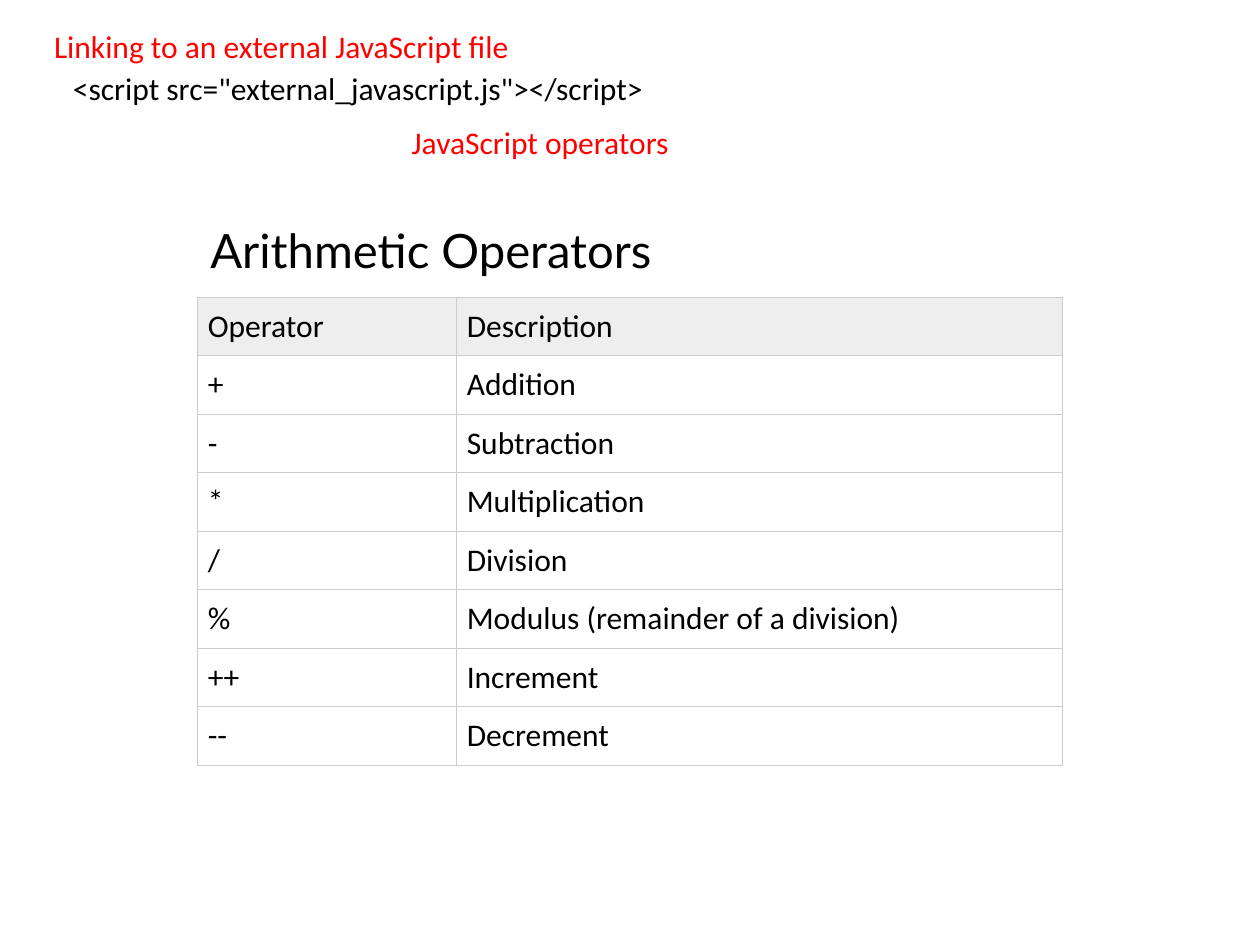
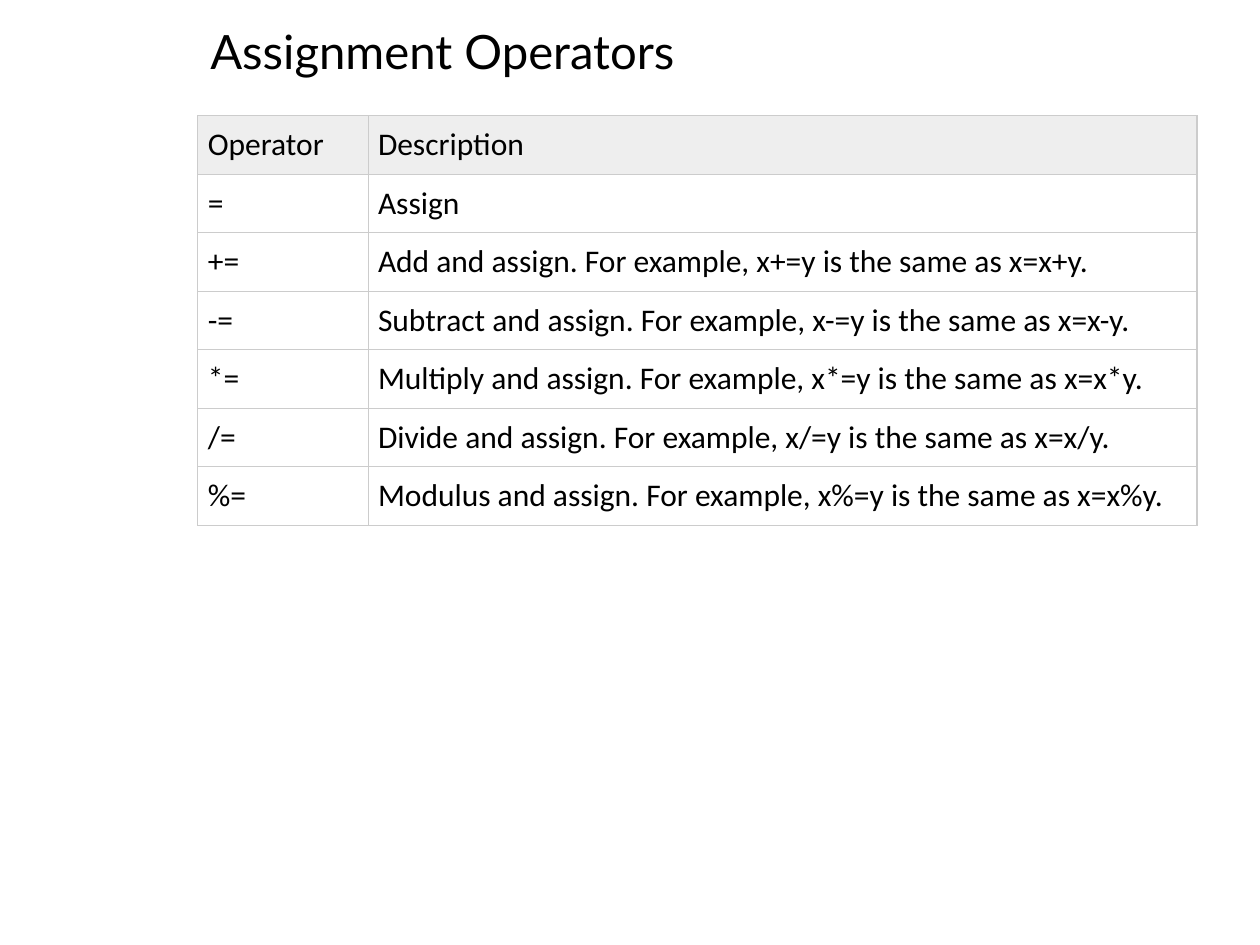
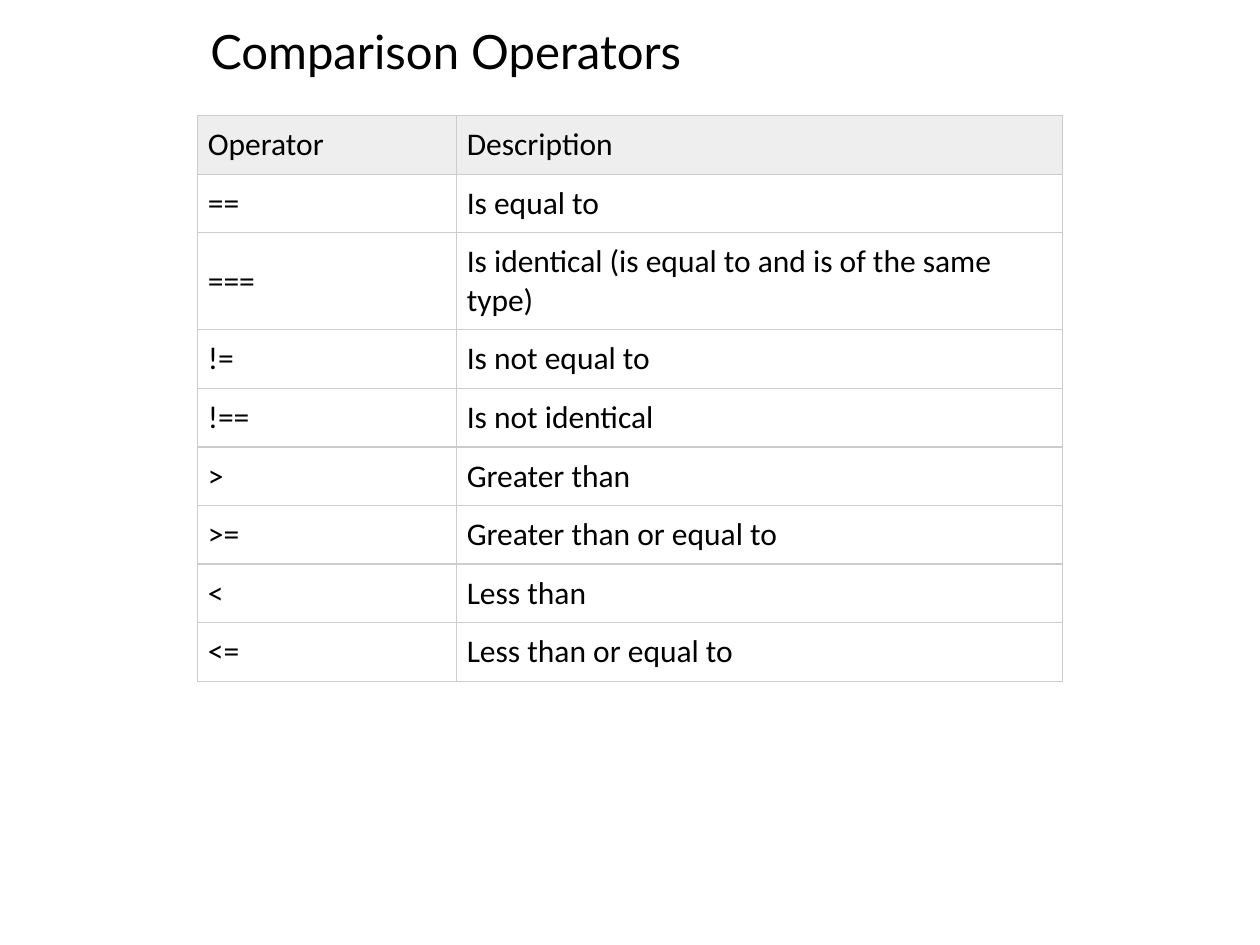
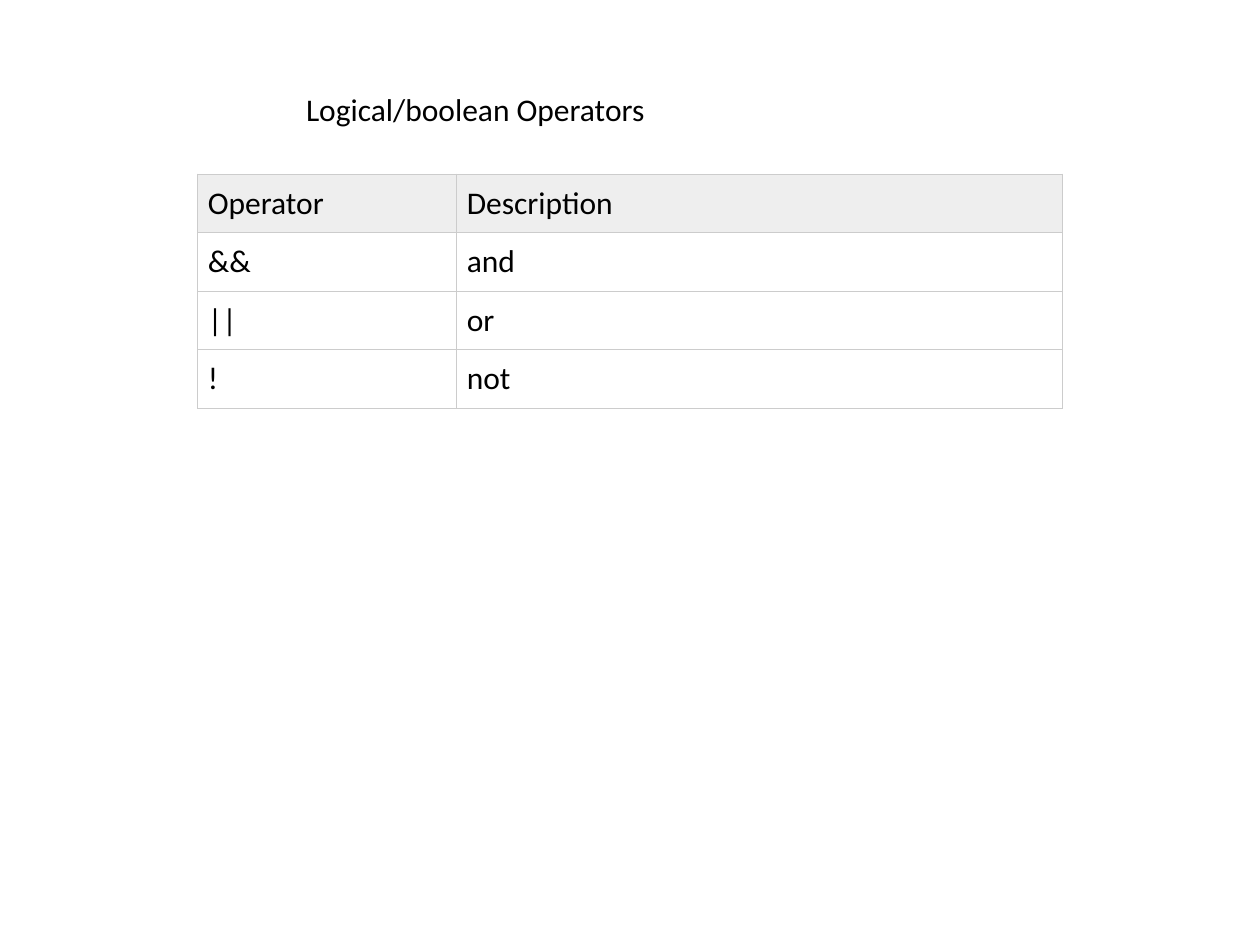
"""Build four slides on JavaScript operators."""
from lxml import etree
from pptx import Presentation
from pptx import util as u
from pptx.dml.color import RGBColor
from pptx.enum import text
from pptx.oxml import ns

BLACK, RED, GREY, HEADER, WHITE = "000000", "FF0000", "CCCCCC", "EEEEEE", "FFFFFF"
BODY = dict(font="Calibri", size=18, color=BLACK)
HEADING = dict(font="Lato", size=27, color=BLACK)
WIDTH, HEIGHT = 25.4, 19.05
TABLE_LEFT = 3.99
INSET = 0.2
LINE_HEIGHT = 0.78
CHARACTERS_PER_CM = 3.7
LABEL_HEIGHT, HEADING_HEIGHT = 1.02, 1.27
COLUMNS = ("Operator", "Description")
STANDARD, WIDE = (5.22, 12.21), (3.43, 16.71)

SLIDES = [
    dict(
        labels=[
            ('<script src="external_javascript.js"></script>', 1.22, 1.27, 12.12, BLACK),
            ("Linking to an external JavaScript file", 0.84, 0.43, 9.78, RED),
            ("JavaScript operators", 8.05, 2.36, 5.74, RED),
        ],
        heading=("Arithmetic Operators", 4.47),
        top=5.99,
        widths=STANDARD,
        rows=[
            ("+", "Addition"),
            ("-", "Subtraction"),
            ("*", "Multiplication"),
            ("/", "Division"),
            ("%", "Modulus (remainder of a division)"),
            ("++", "Increment"),
            ("--", "Decrement"),
        ],
    ),
    dict(
        heading=("Assignment Operators", 0.45),
        top=2.33,
        widths=WIDE,
        rows=[
            ("=", "Assign"),
            ("+=", "Add and assign. For example, x+=y is the same as x=x+y."),
            ("-=", "Subtract and assign. For example, x-=y is the same as x=x-y."),
            ("*=", "Multiply and assign. For example, x*=y is the same as x=x*y."),
            ("/=", "Divide and assign. For example, x/=y is the same as x=x/y."),
            ("%=", "Modulus and assign. For example, x%=y is the same as x=x%y."),
        ],
    ),
    dict(
        heading=("Comparison Operators", 0.45),
        top=2.33,
        widths=STANDARD,
        rows=[
            ("==", "Is equal to"),
            ("===", "Is identical (is equal to and is of the same type)"),
            ("!=", "Is not equal to"),
            ("!==", "Is not identical"),
            (">", "Greater than"),
            (">=", "Greater than or equal to"),
            ("<", "Less than"),
            ("<=", "Less than or equal to"),
        ],
    ),
    dict(
        labels=[("Logical/boolean Operators", 5.92, 1.7, 7.42, BLACK)],
        top=3.51,
        widths=STANDARD,
        rows=[("&&", "and"), ("||", "or"), ("!", "not")],
    ),
]


def rgb(value):
    """Turn a hex string into a colour."""
    return RGBColor.from_string(value)


def write(frame, words, font, size, color):
    """Put one formatted line of words into a text frame."""
    paragraph = frame.paragraphs[0]
    paragraph.alignment = text.PP_ALIGN.LEFT
    run = paragraph.add_run()
    run.text = words
    run.font.name = font
    run.font.size = u.Pt(size)
    run.font.color.rgb = rgb(color)


def add_label(slide, words, left, top, width, color):
    """Add a single-line text box."""
    box = slide.shapes.add_textbox(u.Cm(left), u.Cm(top), u.Cm(width), u.Cm(LABEL_HEIGHT))
    box.text_frame.word_wrap = False
    box.text_frame.auto_size = text.MSO_AUTO_SIZE.SHAPE_TO_FIT_TEXT
    write(box.text_frame, words, **{**BODY, "color": color})


def add_heading(slide, words, top):
    """Add the large heading above a table."""
    box = slide.shapes.add_textbox(u.Cm(TABLE_LEFT), u.Cm(top), u.Cm(WIDTH), u.Cm(HEADING_HEIGHT))
    frame = box.text_frame
    frame.word_wrap = True
    frame.margin_top = frame.margin_bottom = 0
    write(frame, words, **HEADING)


def add_borders(cell):
    """Draw a thin grey line on each side of a cell."""
    properties = cell._tc.get_or_add_tcPr()
    for position, side in enumerate(("lnL", "lnR", "lnT", "lnB")):
        line = etree.Element(ns.qn("a:" + side), w=str(u.Pt(0.75)))
        fill = etree.SubElement(line, ns.qn("a:solidFill"))
        etree.SubElement(fill, ns.qn("a:srgbClr"), val=GREY)
        properties.insert(position, line)


def row_height(description, width):
    """Give the height a row needs for its description."""
    lines = -(-len(description) // int(width * CHARACTERS_PER_CM))
    return lines * LINE_HEIGHT + 2 * INSET


def add_operators(slide, rows, top, widths):
    """Add a table of operators under a shaded header row."""
    rows = [COLUMNS, *rows]
    heights = [row_height(description, widths[1]) for _, description in rows]
    table = slide.shapes.add_table(
        len(rows), len(COLUMNS), u.Cm(TABLE_LEFT), u.Cm(top), u.Cm(sum(widths)), u.Cm(sum(heights))
    ).table
    table.horz_banding = False
    for column, width in zip(table.columns, widths):
        column.width = u.Cm(width)
    for index, (row, height) in enumerate(zip(table.rows, heights)):
        row.height = u.Cm(height)
        for cell, words in zip(row.cells, rows[index]):
            cell.margin_left = cell.margin_right = u.Cm(INSET)
            cell.margin_top = cell.margin_bottom = u.Cm(INSET)
            cell.vertical_anchor = text.MSO_ANCHOR.MIDDLE
            cell.fill.solid()
            cell.fill.fore_color.rgb = rgb(WHITE if index else HEADER)
            add_borders(cell)
            write(cell.text_frame, words, **BODY)
    table.first_row = False


presentation = Presentation()
presentation.slide_width, presentation.slide_height = u.Cm(WIDTH), u.Cm(HEIGHT)
for content in SLIDES:
    slide = presentation.slides.add_slide(presentation.slide_layouts[6])
    for label in content.get("labels", []):
        add_label(slide, *label)
    add_operators(slide, content["rows"], content["top"], content["widths"])
    if "heading" in content:
        add_heading(slide, *content["heading"])
presentation.save("out.pptx")
